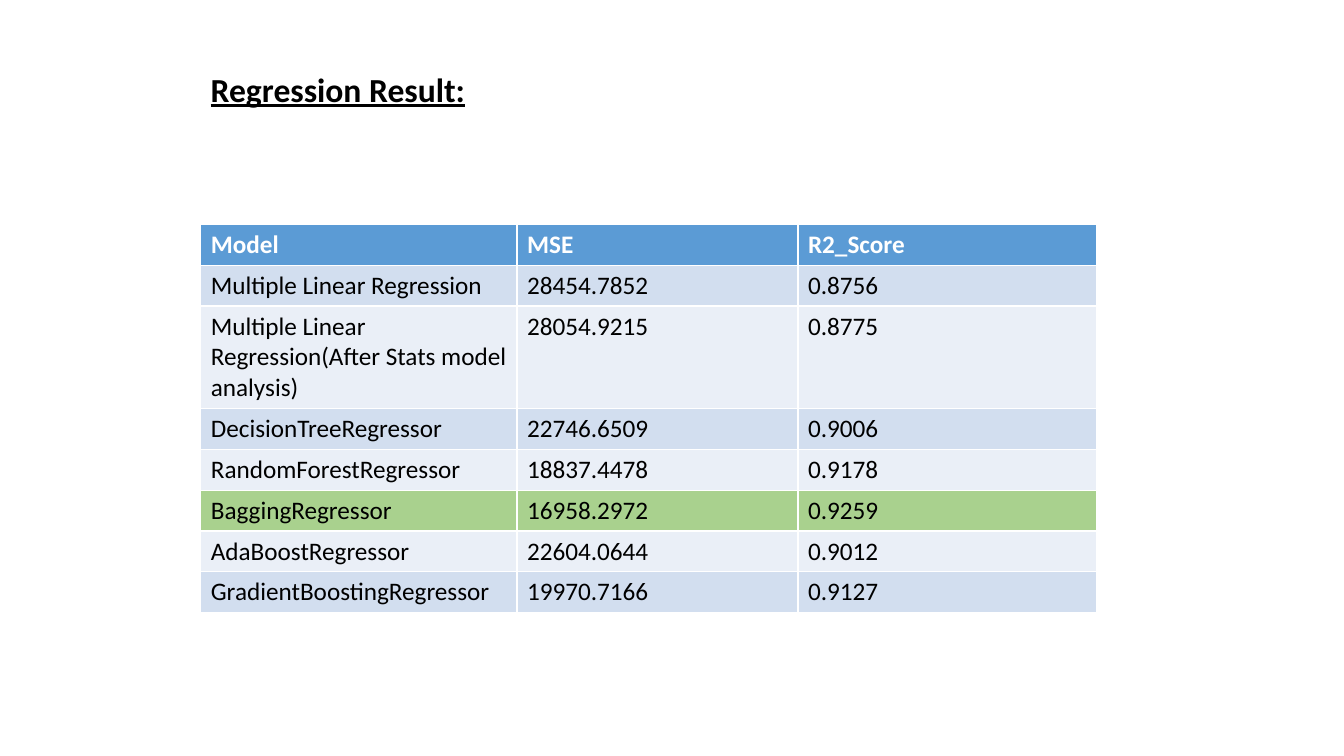
from collections import namedtuple

from pptx import Presentation, util as u
from pptx.dml.color import RGBColor

WHITE = RGBColor(0xFF, 0xFF, 0xFF)
BLACK = RGBColor(0, 0, 0)
HEADER_BLUE = RGBColor(0x5B, 0x9B, 0xD5)
BAND_DARK = RGBColor(0xD2, 0xDE, 0xEF)
BAND_LIGHT = RGBColor(0xEA, 0xEF, 0xF7)
BEST_GREEN = RGBColor(0xA9, 0xD1, 0x8E)

FONT = "Calibri"
BEST_MODEL = "BaggingRegressor"
COLUMN_WIDTHS = (7.97, 7.08, 7.53)
RESULTS = [
    ("Model", "MSE", "R2_Score"),
    ("Multiple Linear Regression", "28454.7852", "0.8756"),
    ("Multiple Linear Regression(After Stats model analysis)", "28054.9215", "0.8775"),
    ("DecisionTreeRegressor", "22746.6509", "0.9006"),
    ("RandomForestRegressor", "18837.4478", "0.9178"),
    (BEST_MODEL, "16958.2972", "0.9259"),
    ("AdaBoostRegressor", "22604.0644", "0.9012"),
    ("GradientBoostingRegressor", "19970.7166", "0.9127"),
]

Box = namedtuple("Box", "left top width height")


def place(box):
    return [u.Cm(length) for length in box]


def set_font(para, size, color, bold):
    para.font.name = FONT
    para.font.size = u.Pt(size)
    para.font.color.rgb = color
    para.font.bold = bold


def row_fill(index, model):
    if index == 0:
        return HEADER_BLUE
    if model == BEST_MODEL:
        return BEST_GREEN
    return BAND_DARK if index % 2 else BAND_LIGHT


def add_heading(page, box):
    frame = page.shapes.add_textbox(*place(box)).text_frame
    frame.word_wrap = True
    para = frame.paragraphs[0]
    para.text = "Regression Result:"
    set_font(para, 24, BLACK, True)
    para.font.underline = True


def add_results(page, box):
    # The default table style supplies the white cell borders
    table = page.shapes.add_table(len(RESULTS), len(COLUMN_WIDTHS), *place(box)).table
    for column, width in zip(table.columns, COLUMN_WIDTHS):
        column.width = u.Cm(width)
    for index, values in enumerate(RESULTS):
        is_header = index == 0
        for cell, value in zip(table.rows[index].cells, values):
            cell.text = value
            cell.fill.solid()
            cell.fill.fore_color.rgb = row_fill(index, values[0])
            set_font(cell.text_frame.paragraphs[0], 18,
                     WHITE if is_header else BLACK, is_header)


deck = Presentation()
deck.slide_width, deck.slide_height = u.Cm(33.87), u.Cm(19.05)
page = deck.slides.add_slide(deck.slide_layouts[6])

# Results table below its heading, sharing the left edge
add_results(page, Box(5.06, 5.65, sum(COLUMN_WIDTHS), 1.03 * len(RESULTS)))
add_heading(page, Box(5.06, 1.6, 15.34, 1.28))

deck.save("out.pptx")
